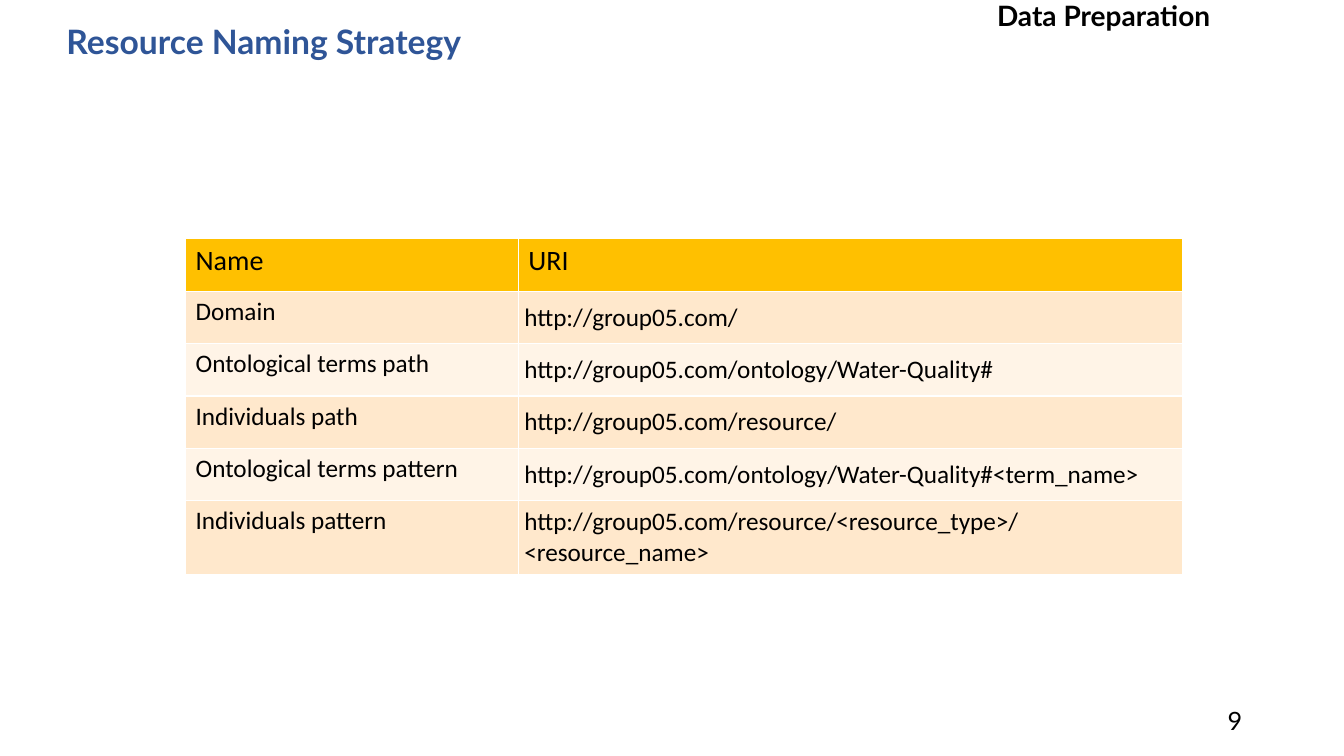
import dataclasses

import pptx
import pptx.dml.color
import pptx.enum.text
import pptx.oxml
import pptx.oxml.ns
import pptx.util

ALIGN = pptx.enum.text.PP_ALIGN
MIDDLE = pptx.enum.text.MSO_ANCHOR.MIDDLE
SCALE = 9144  # EMU per px, 100 px to the inch


@dataclasses.dataclass(frozen=True)
class Theme:
    ink: str = "000000"
    blue: str = "2F5597"
    gold: str = "FFC000"
    bands: tuple[str, str] = ("FFE8CC", "FFF4E7")
    rule: str = "FFFFFF"
    title: int = 24
    head: int = 20
    body: int = 18
    label_font: str = "Lato"
    table_font: str = "Calibri"


THEME = Theme()


@dataclasses.dataclass(frozen=True)
class Label:
    text: str
    box: tuple[int, int, int, int]
    size: int
    color: str = THEME.ink
    bold: bool = False
    align: ALIGN = ALIGN.LEFT
    spacing: float = 1.0


@dataclasses.dataclass(frozen=True)
class Entry:
    name: str
    uri: str


LABELS = [
    Label("9", (942, 695, 300, 40), THEME.body, align=ALIGN.RIGHT),
    Label("Resource Naming Strategy", (56, 15, 718, 56), THEME.title,
          THEME.blue, bold=True, spacing=0.9),
    Label("Data Preparation", (979, -13, 269, 56), THEME.head, bold=True),
]

SITE = "http://group05.com/"
TERMS = SITE + "ontology/Water-Quality#"
ITEMS = SITE + "resource/"
ENTRIES = [
    Entry("Name", "URI"),
    Entry("Domain", SITE),
    Entry("Ontological terms path", TERMS),
    Entry("Individuals path", ITEMS),
    Entry("Ontological terms pattern", TERMS + "<term_name>"),
    Entry("Individuals pattern", ITEMS + "<resource_type>/<resource_name>"),
]
LEFT, TOP = 184, 237
WIDTHS = (330, 659)
HEIGHT = 52
INSET = 6


def px(count: int) -> pptx.util.Emu:
    return pptx.util.Emu(count * SCALE)


def rgb(code: str) -> pptx.dml.color.RGBColor:
    return pptx.dml.color.RGBColor.from_string(code)


def style(para, face: str, size: int, color: str, bold: bool = False) -> None:
    font = para.font
    font.name, font.size, font.bold = face, pptx.util.Pt(size), bold
    font.color.rgb = rgb(color)


def add_label(slide, label: Label) -> None:
    shape = slide.shapes.add_textbox(*map(px, label.box))
    frame = shape.text_frame
    frame.word_wrap = True
    frame.vertical_anchor = MIDDLE
    para = frame.paragraphs[0]
    para.text = label.text
    para.alignment = label.align
    para.line_spacing = label.spacing
    style(para, THEME.label_font, label.size, label.color, label.bold)


def add_rules(cell) -> None:
    props = cell._tc.get_or_add_tcPr()
    for spot, side in enumerate("LRTB"):
        props.insert(spot, pptx.oxml.parse_xml(
            f'<a:ln{side} {pptx.oxml.ns.nsdecls("a")} w="{pptx.util.Pt(1)}">'
            f'<a:solidFill><a:srgbClr val="{THEME.rule}"/></a:solidFill>'
            f'</a:ln{side}>'))


def fill_cell(cell, text: str, fill: str, size: int) -> None:
    cell.fill.solid()
    cell.fill.fore_color.rgb = rgb(fill)
    add_rules(cell)
    para = cell.text_frame.paragraphs[0]
    para.text = text
    style(para, THEME.table_font, size, THEME.ink)


def add_entries(slide) -> None:
    frame = slide.shapes.add_table(
        len(ENTRIES), len(WIDTHS), px(LEFT), px(TOP),
        px(sum(WIDTHS)), px(HEIGHT * len(ENTRIES)))
    table = frame.table
    for column, width in zip(table.columns, WIDTHS):
        column.width = px(width)
    for row, entry in enumerate(ENTRIES):
        head = row == 0
        fill = THEME.gold if head else THEME.bands[(row - 1) % 2]
        size = THEME.head if head else THEME.body
        name, uri = table.cell(row, 0), table.cell(row, 1)
        fill_cell(name, entry.name, fill, size)
        fill_cell(uri, entry.uri, fill, size)
        if not head:
            uri.vertical_anchor = MIDDLE
            uri.margin_left = uri.margin_right = px(INSET)
            uri.margin_top = uri.margin_bottom = px(INSET)


def main() -> None:
    deck = pptx.Presentation()
    deck.slide_width, deck.slide_height = px(1333), px(750)
    slide = deck.slides.add_slide(deck.slide_layouts[6])

    # Naming table
    add_entries(slide)

    # Title, section and page number
    for label in LABELS:
        add_label(slide, label)

    deck.save("out.pptx")


if __name__ == "__main__":
    main()
